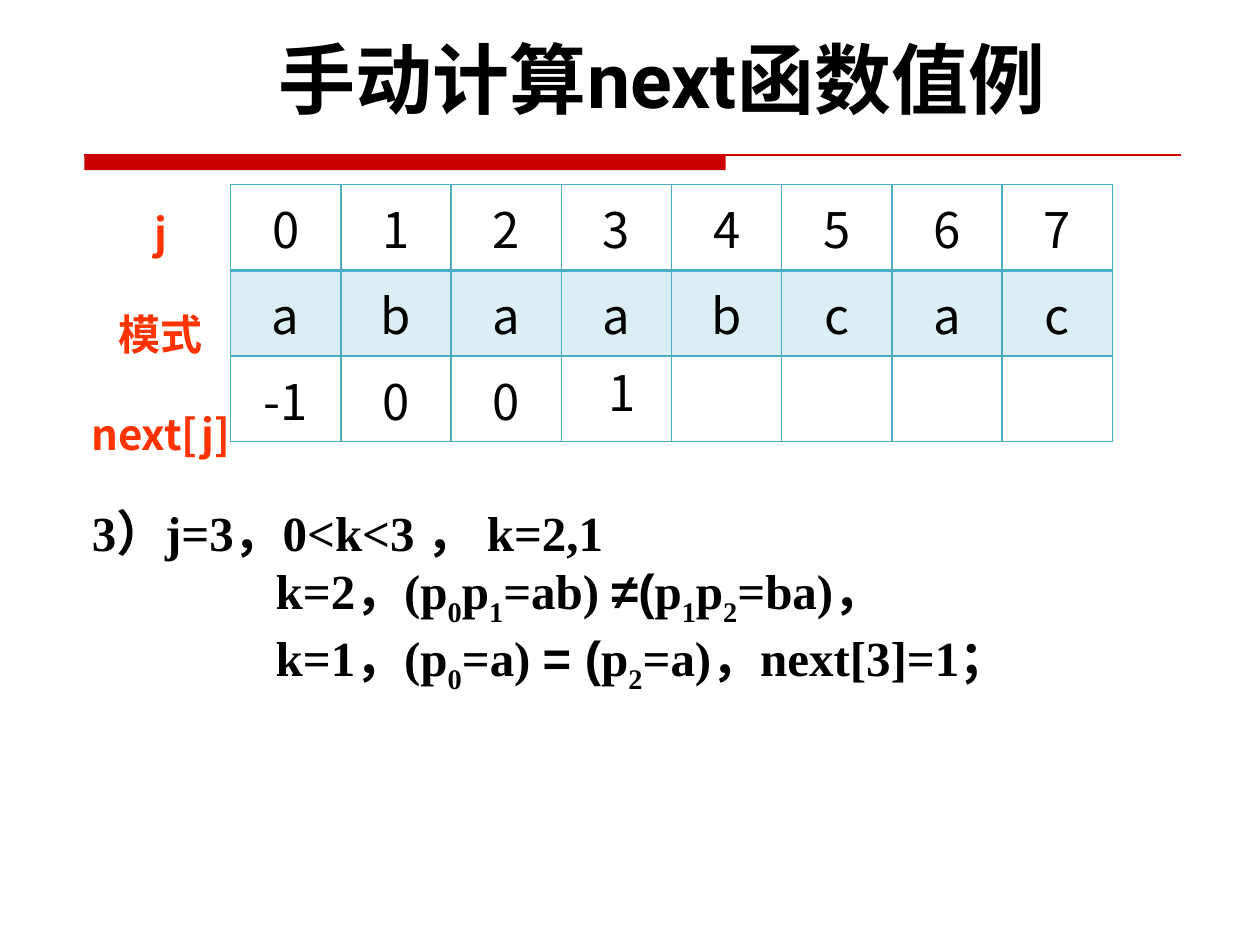
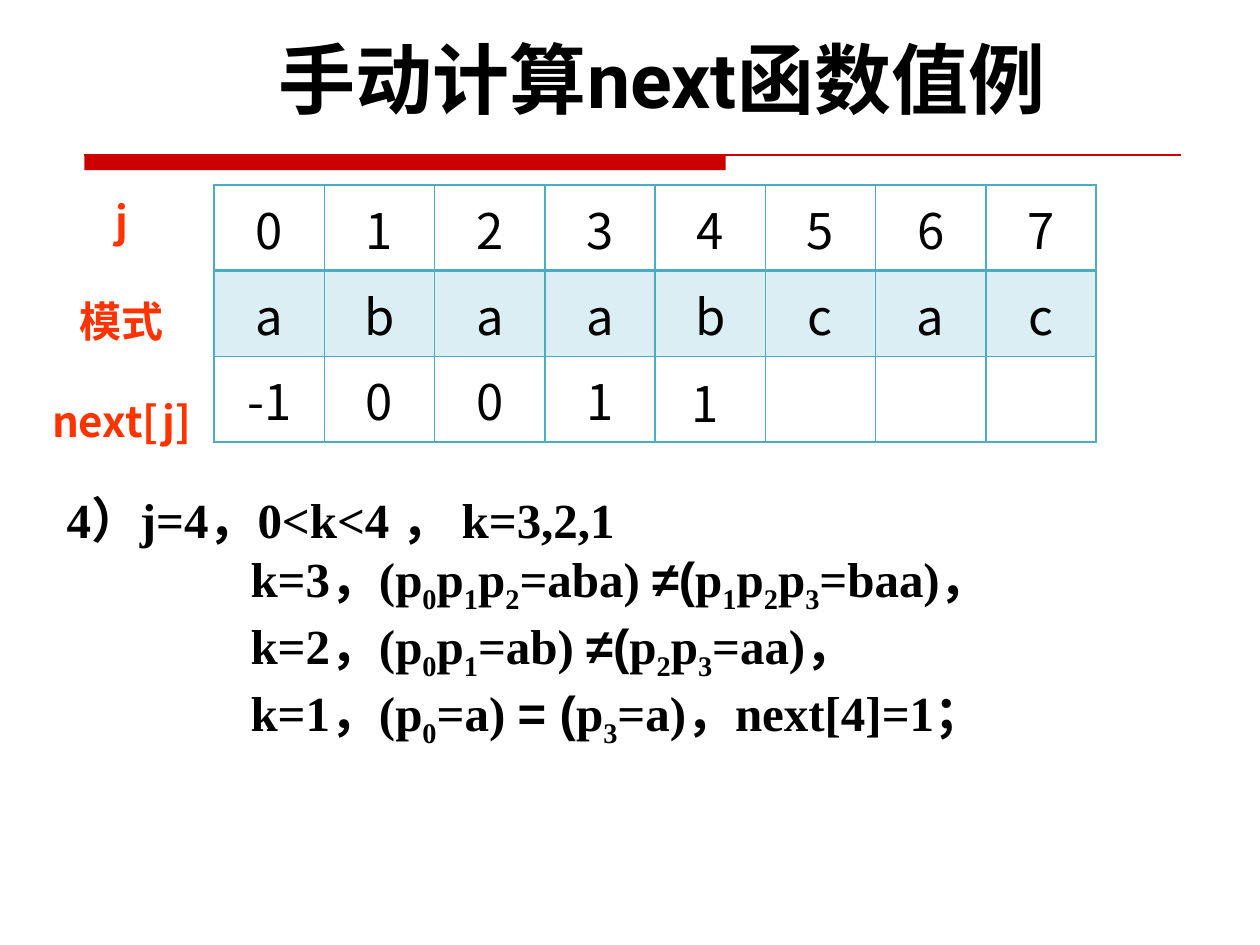
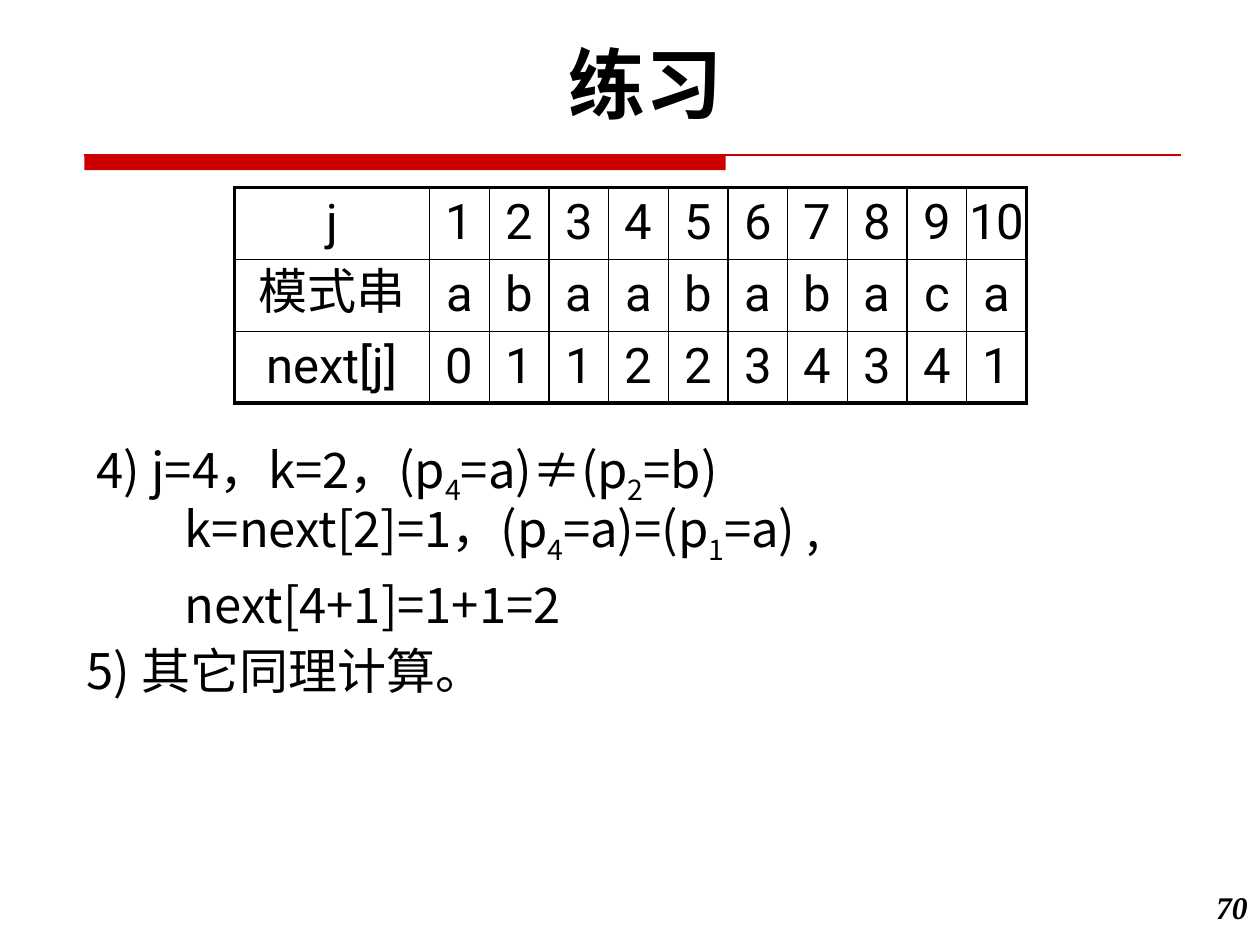
"""Build three slides that work through the next function of KMP string matching."""
import lxml.etree
import pptx
import pptx.dml.color
import pptx.enum.shapes
import pptx.enum.text
import pptx.oxml.ns
import pptx.util


class Theme:
    red = "CC0000"
    label = "FF3300"
    ink = "000000"
    teal = "4BACC6"
    pale_teal = "DBEEF4"
    sans = "Noto Sans CJK SC"
    heading = "Roboto"
    serif = "Times New Roman"
    symbol = "Arial"
    title_size = 44
    body_size = 28
    label_size = 24
    number_size = 18


ALIGN = pptx.enum.text.PP_ALIGN
qn = pptx.oxml.ns.qn

deck = pptx.Presentation()
deck.slide_width = pptx.util.Inches(10)
deck.slide_height = pptx.util.Inches(7.5)
COLUMN = deck.slide_width / 100
ROW = deck.slide_height / 75


def write(frame, text, font=Theme.sans, size=Theme.body_size, color=Theme.ink, bold=False,
          italic=False, align=ALIGN.LEFT, indent=0, pitch=None, gap=0):
    """Fill a frame; > indents a line, | splits spans, _ lowers a span, ^ marks a symbol."""
    for index, line in enumerate(text.split("\n")):
        para = frame.add_paragraph() if index else frame.paragraphs[0]
        if line.startswith(">"):
            para._p.get_or_add_pPr().set("marL", str(round(indent * COLUMN)))
        para.alignment = align
        if pitch:
            para.line_spacing = pptx.util.Pt(pitch)
        para.space_before = pptx.util.Pt(gap if index else 0)
        for part in line.removeprefix(">").split("|"):
            span = para.add_run()
            span.text = part.lstrip("_^")
            span.font.name = Theme.symbol if part.startswith("^") else font
            span.font.size = pptx.util.Pt(size)
            span.font.bold = bold
            span.font.italic = italic
            span.font.color.rgb = pptx.dml.color.RGBColor.from_string(color)
            props = span._r.get_or_add_rPr()
            lxml.etree.SubElement(props, qn("a:ea"), typeface=Theme.sans)
            if part.startswith("_"):
                props.set("baseline", "-25000")


def place(page, spot, text, **look):
    """Add a text box at a grid spot and write in it."""
    left, top, width, height = spot
    box = page.shapes.add_textbox(round(left * COLUMN), round(top * ROW),
                                  round(width * COLUMN), round(height * ROW))
    box.text_frame.word_wrap = True
    write(box.text_frame, text, **look)


TITLE = dict(font=Theme.heading, size=Theme.title_size, bold=True, align=ALIGN.CENTER, pitch=56)
LABELS = dict(size=Theme.label_size, color=Theme.label, bold=True, align=ALIGN.CENTER,
              pitch=28.7, gap=28.7)
PROOF = dict(font=Theme.serif, bold=True, indent=14.6, pitch=38.3)
STEPS = dict(indent=7, pitch=38.3)
ANSWER = dict(pitch=35)
NUMBER = dict(font=Theme.serif, size=Theme.number_size, bold=True, italic=True, align=ALIGN.RIGHT)

TEAL_TABLE = dict(widths=[8.75] * 8, height=6.8, line=Theme.teal, outer=1, under_head=2,
                  band=True, margin=1, anchor=pptx.enum.text.MSO_ANCHOR.MIDDLE,
                  look=dict(align=ALIGN.CENTER))
BLACK_TABLE = dict(widths=[15.5] + [4.74] * 10, height=5.7, line=Theme.ink, outer=2.25,
                   under_head=1, band=False, margin=0, anchor=pptx.enum.text.MSO_ANCHOR.TOP,
                   look=dict(font=Theme.heading, align=ALIGN.CENTER, pitch=33))

EXAMPLE = "手动计算next函数值例"
HEAD = ["0 1 2 3 4 5 6 7", "a b a a b c a c"]
ROW_NAMES = "j\n模式\nnext[j]"

PAGES = [
    dict(grid=TEAL_TABLE, origin=(18.3, 14.65), rows=HEAD + ["-1 0 0"], texts=[
        ((6.3, 1.6, 92.5, 8.4), EXAMPLE, TITLE),
        ((5.8, 16, 13.9, 25.9), ROW_NAMES, LABELS),
        ((6.3, 38.7, 92.9, 15.1),
         "3）j=3，0<k<3 ， k=2,1\n"
         ">k=2，(p|_0|p|_1|=ab) |^≠(|p|_1|p|_2|=ba)，\n"
         ">k=1，(p|_0|=a) |^= (|p|_2|=a)，next[3]=1；", PROOF),
        ((47.3, 28.1, 6.3, 5.7), "1", ANSWER)]),
    dict(grid=TEAL_TABLE, origin=(17, 14.7), rows=HEAD + ["-1 0 0 1"], texts=[
        ((6.3, 1.6, 92.5, 8.4), EXAMPLE, TITLE),
        ((2.7, 15, 13.9, 25.9), ROW_NAMES, LABELS),
        ((4.3, 37.7, 92.9, 19.9),
         "4）j=4，0<k<4 ， k=3,2,1\n"
         ">k=3，(p|_0|p|_1|p|_2|=aba) |^≠(|p|_1|p|_2|p|_3|=baa)，\n"
         ">k=2，(p|_0|p|_1|=ab) |^≠(|p|_2|p|_3|=aa)，\n"
         ">k=1，(p|_0|=a) |^= (|p|_3|=a)，next[4]=1；", PROOF),
        ((53.9, 29, 6.3, 5.7), "1", ANSWER)]),
    dict(grid=BLACK_TABLE, origin=(18.6, 14.9),
         rows=["j 1 2 3 4 5 6 7 8 9 10", "模式串 a b a a b a b a c a",
               "next[j] 0 1 1 2 2 3 4 3 4 1"], texts=[
        ((5, 2, 92.5, 8.4), "练习", TITLE),
        ((6.7, 34.4, 80.3, 5.7), "4) j=4，k=2，(p|_4|=a)≠(p|_2|=b)", STEPS),
        ((6.7, 39.1, 92, 10.4),
         ">k=next[2]=1，(p|_4|=a)=(p|_1|=a) ,\n>next[4+1]=1+1=2", STEPS),
        ((5.9, 49.7, 92.2, 5.7), "5) 其它同理计算。", STEPS),
        ((93.3, 70, 6.7, 5), "70", NUMBER)]),
]

for content in PAGES:
    page = deck.slides.add_slide(deck.slide_layouts[6])
    red = pptx.dml.color.RGBColor.from_string(Theme.red)
    bar = page.shapes.add_shape(pptx.enum.shapes.MSO_SHAPE.RECTANGLE, round(6.7 * COLUMN),
                                round(12.3 * ROW), round(50.9 * COLUMN), round(1.2 * ROW))
    bar.shadow.inherit = False
    bar.fill.solid()
    bar.fill.fore_color.rgb = red
    bar.line.fill.background()
    rule = page.shapes.add_connector(pptx.enum.shapes.MSO_CONNECTOR.STRAIGHT,
                                     round(6.7 * COLUMN), round(12.3 * ROW),
                                     round(93.7 * COLUMN), round(12.3 * ROW))
    rule.line.color.rgb = red
    rule.line.width = pptx.util.Pt(0.75)
    lxml.etree.SubElement(rule._element.spPr, qn("a:effectLst"))

    grid = content["grid"]
    widths = grid["widths"]
    rows = content["rows"]
    left, top = content["origin"]
    table = page.shapes.add_table(
        len(rows), len(widths), round(left * COLUMN), round(top * ROW),
        round(sum(widths) * COLUMN), round(len(rows) * grid["height"] * ROW)).table
    table.first_row = False
    table.horz_banding = False
    for column, width in zip(table.columns, widths):
        column.width = round(width * COLUMN)
    for r, values in enumerate(rows):
        table.rows[r].height = round(grid["height"] * ROW)
        values = values.split()
        for c in range(len(widths)):
            cell = table.cell(r, c)
            cell.vertical_anchor = grid["anchor"]
            cell.margin_left = cell.margin_right = round(grid["margin"] * COLUMN)
            if c < len(values):
                write(cell.text_frame, values[c], **grid["look"])
            edges = {
                "a:lnL": 1 if c else grid["outer"],
                "a:lnR": 1 if c < len(widths) - 1 else grid["outer"],
                "a:lnT": {0: grid["outer"], 1: grid["under_head"]}.get(r, 1),
                "a:lnB": {0: grid["under_head"], len(rows) - 1: grid["outer"]}.get(r, 1),
            }
            props = cell._tc.get_or_add_tcPr()
            for tag, points in edges.items():
                edge = lxml.etree.SubElement(props, qn(tag), w=str(pptx.util.Pt(points)))
                paint = lxml.etree.SubElement(edge, qn("a:solidFill"))
                lxml.etree.SubElement(paint, qn("a:srgbClr"), val=grid["line"])
            if grid["band"] and r == 1:
                cell.fill.solid()
                cell.fill.fore_color.rgb = pptx.dml.color.RGBColor.from_string(Theme.pale_teal)
            else:
                cell.fill.background()

    for spot, text, look in content["texts"]:
        place(page, spot, text, **look)

deck.save("out.pptx")
